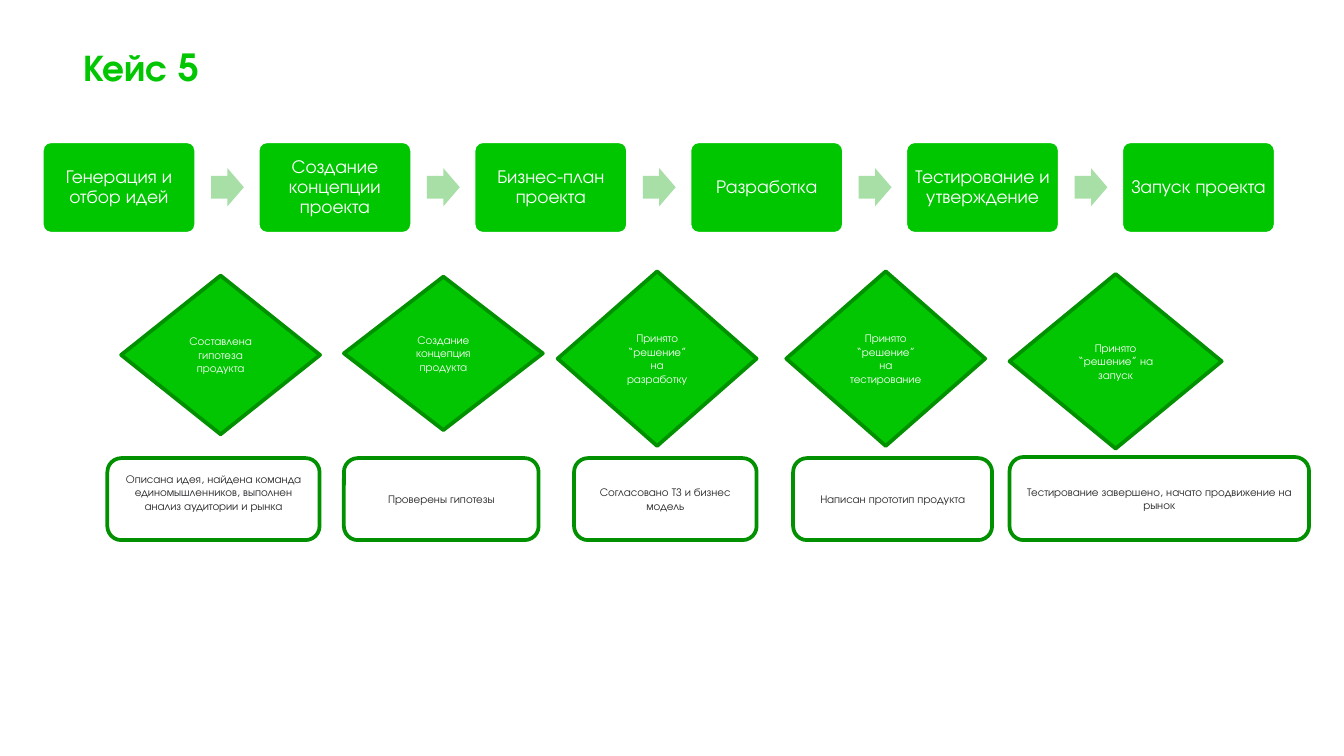
from dataclasses import dataclass

from pptx import Presentation
from pptx.dml.color import RGBColor
from pptx.enum.shapes import MSO_SHAPE
from pptx.enum.text import MSO_ANCHOR, PP_ALIGN
from pptx.util import Cm, Pt

ROUNDED = MSO_SHAPE.ROUNDED_RECTANGLE
DIAMOND = MSO_SHAPE.DIAMOND
ARROW = MSO_SHAPE.RIGHT_ARROW
CENTER, LEFT = PP_ALIGN.CENTER, PP_ALIGN.LEFT
MIDDLE, TOP = MSO_ANCHOR.MIDDLE, MSO_ANCHOR.TOP


@dataclass(frozen=True)
class Theme:
    font: str = "TeX Gyre Adventor"
    title_green: str = "01C601"
    stage_green: str = "00C600"
    arrow_green: str = "A7DFA7"
    border_green: str = "009000"
    white: str = "FFFFFF"
    ink: str = "242327"
    title_size: float = 20
    stage_size: float = 10
    detail_size: float = 6
    border_width: float = 2


THEME = Theme()

STAGES = [
    "Генерация и отбор идей",
    "Создание концепции проекта",
    "Бизнес-план проекта",
    "Разработка",
    "Тестирование и утверждение",
    "Запуск проекта",
]
STAGE_LEFT, STAGE_STEP = 0.79, 4.08
ARROW_OFFSET = 3.2

GATES = [
    ("Составлена гипотеза продукта", (2.29, 5.21, 3.76, 3)),
    ("Создание концепция продукта", (6.5, 5.23, 3.76, 2.9)),
    ("Принято “решение” на разработку", (10.54, 5.13, 3.76, 3.3)),
    ("Принято “решение” на тестирование", (14.86, 5.13, 3.76, 3.3)),
    ("Принято “решение” на запуск", (19.08, 5.18, 4.01, 3.3)),
]

OUTCOMES = [
    ("Описана идея, найдена команда единомышленников, "
     "выполнен анализ аудитории и рынка", (2.03, 8.66, 4.01, 1.55), 0.38),
    ("Проверены гипотезы", (6.5, 8.66, 3.68, 1.55), 0.13),
    ("Согласовано ТЗ и бизнес модель", (10.85, 8.66, 3.45, 1.55), 0.13),
    ("Написан прототип продукта", (14.99, 8.66, 3.76, 1.55), 0.13),
    ("Тестирование завершено, начато продвижение на рынок",
     (19.08, 8.64, 5.66, 1.57), 0.13),
]


def write(frame, text, size, color, insets, bold=False,
          align=CENTER, anchor=MIDDLE, spacing=1.0):
    frame.word_wrap = True
    frame.vertical_anchor = anchor
    (frame.margin_left, frame.margin_top,
     frame.margin_right, frame.margin_bottom) = map(Cm, insets)
    paragraph = frame.paragraphs[0]
    paragraph.alignment = align
    paragraph.line_spacing = spacing
    run = paragraph.add_run()
    run.text = text
    run.font.name = THEME.font
    run.font.size = Pt(size)
    run.font.bold = bold
    run.font.color.rgb = RGBColor.from_string(color)


def add_figure(slide, kind, box, fill=None, border=None, adjustments=()):
    figure = slide.shapes.add_shape(kind, *map(Cm, box))
    figure.shadow.inherit = False
    if fill:
        figure.fill.solid()
        figure.fill.fore_color.rgb = RGBColor.from_string(fill)
    else:
        figure.fill.background()
    if border:
        figure.line.color.rgb = RGBColor.from_string(border)
        figure.line.width = Pt(THEME.border_width)
    else:
        figure.line.fill.background()
    for index, value in enumerate(adjustments):
        figure.adjustments[index] = value
    return figure


def add_title(slide, text):
    title = slide.shapes.add_textbox(*map(Cm, (1.57, 0.58, 11.13, 1.9)))
    write(title.text_frame, text, THEME.title_size, THEME.title_green,
          (0, 0.25, 0.25, 0.25), bold=True, align=LEFT, anchor=TOP)


def add_stage(slide, left, text):
    stage = add_figure(slide, ROUNDED, (left, 2.67, 2.92, 1.75),
                       THEME.stage_green, THEME.white, [0.1])
    write(stage.text_frame, text, THEME.stage_size, THEME.white,
          (0.13, 0.13, 0.13, 0.13), spacing=0.9)


def add_stage_arrow(slide, left):
    add_figure(slide, ARROW, (left, 3.18, 0.62, 0.72),
               THEME.arrow_green, adjustments=[0.6, 0.5])


def add_gate(slide, text, box):
    gate = add_figure(slide, DIAMOND, box, THEME.title_green, THEME.border_green)
    write(gate.text_frame, text, THEME.detail_size, THEME.white,
          (0.25, 0.13, 0.25, 0.13))


def add_outcome(slide, text, box, bottom_inset):
    outcome = add_figure(slide, ROUNDED, box, border=THEME.border_green,
                         adjustments=[0.17])
    write(outcome.text_frame, text, THEME.detail_size, THEME.ink,
          (0.25, 0.13, 0.25, bottom_inset))


def main():
    presentation = Presentation()
    presentation.slide_width = Cm(25.4)
    presentation.slide_height = Cm(14.29)
    slide = presentation.slides.add_slide(presentation.slide_layouts[6])

    add_title(slide, "Кейс 5")
    for index, text in enumerate(STAGES):
        left = STAGE_LEFT + index * STAGE_STEP
        add_stage(slide, left, text)
        if index < len(STAGES) - 1:
            add_stage_arrow(slide, left + ARROW_OFFSET)
    for text, box in GATES:
        add_gate(slide, text, box)
    for text, box, bottom_inset in OUTCOMES:
        add_outcome(slide, text, box, bottom_inset)

    presentation.save("out.pptx")


if __name__ == "__main__":
    main()
